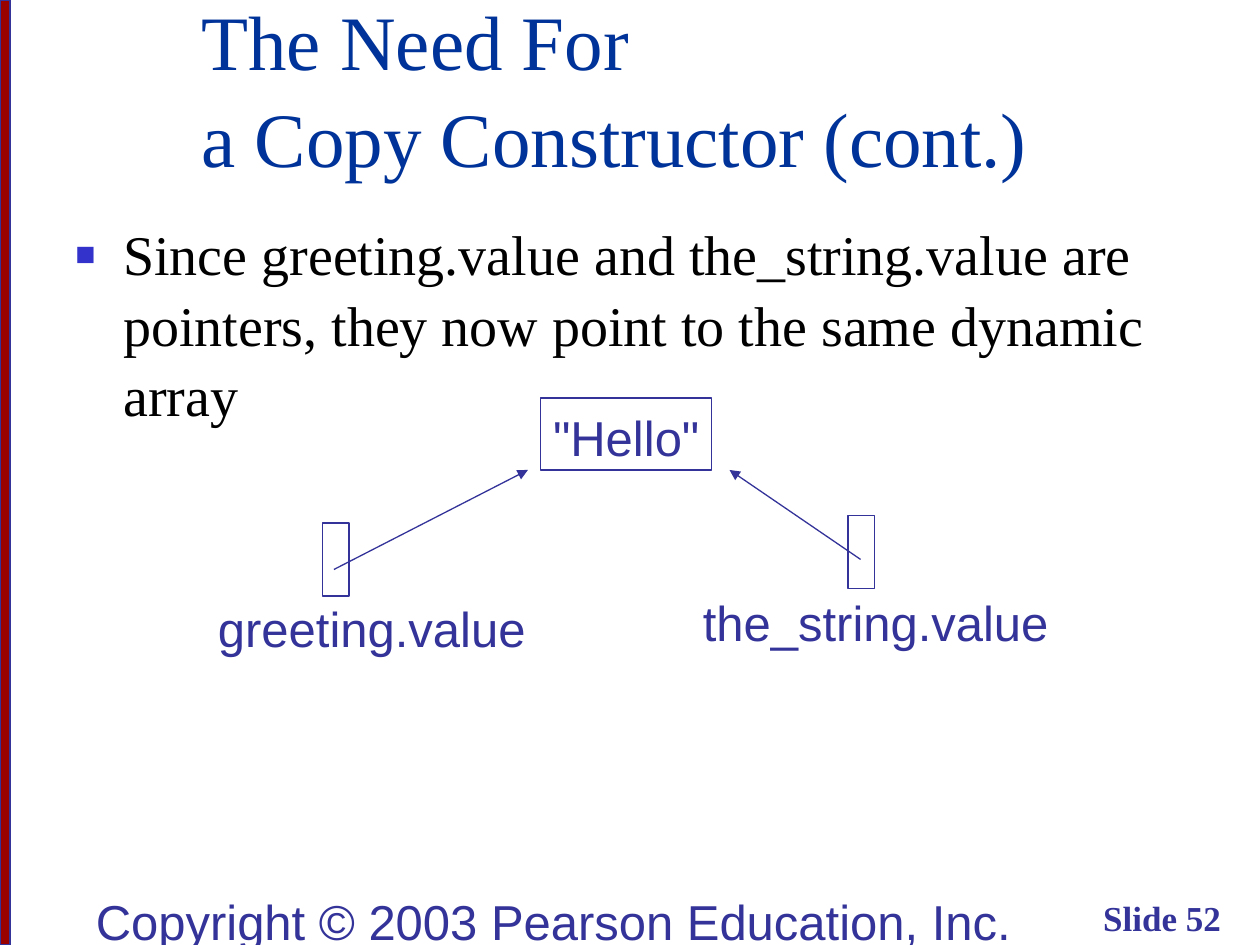
from pptx import Presentation
from pptx.dml.color import RGBColor as Rgb
from pptx.enum.shapes import MSO_CONNECTOR as Link, MSO_SHAPE as Kind
from pptx.enum.text import MSO_ANCHOR as Anchor, PP_ALIGN as Align
from pptx.oxml.ns import qn
from pptx.util import Inches, Pt
from lxml.etree import SubElement as Sub

WIDE, HIGH = 10, 7.5
INK, NAVY, RED, BLACK, BLUE = "333399", "003399", "990000", "000000", "3333CC"
SANS, SERIF = "Arial", "Times New Roman"


def tint(code):
    return Rgb.from_string(code)


class Page:
    """Draws on one slide; lengths are cells of a grid one inch square."""

    def __init__(self, deck):
        self.slide = deck.slides.add_slide(deck.slide_layouts[6])
        self.items = self.slide.shapes
        self.cell = deck.slide_width / WIDE

    def span(self, *cells):
        return [round(n * self.cell) for n in cells]

    def label(self, item, text, size=28, font=SANS, color=INK, bold=False,
              align=Align.CENTER, anchor=Anchor.TOP, wrap=True):
        frame = item.text_frame
        frame.text = text
        frame.word_wrap = wrap
        frame.vertical_anchor = anchor
        par = frame.paragraphs[0]
        par.alignment = align
        par.line_spacing = 1.05
        for run in par.runs:
            run.font.size = Pt(size)
            run.font.name = font
            run.font.bold = bold
            run.font.color.rgb = tint(color)
        return par

    def text(self, box, text, **look):
        return self.label(self.items.add_textbox(*self.span(*box)), text, **look)

    def bullet(self, par, mark, color, share, indent):
        props = par._p.get_or_add_pPr()
        props.set("marL", str(Inches(indent)))
        props.set("indent", str(-Inches(indent)))
        Sub(Sub(props, qn("a:buClr")), qn("a:srgbClr")).set("val", color)
        Sub(props, qn("a:buSzPct")).set("val", str(share * 1000))
        Sub(props, qn("a:buFont")).set("typeface", SANS)
        Sub(props, qn("a:buChar")).set("char", mark)

    def rect(self, box, fill=None):
        item = self.items.add_shape(Kind.RECTANGLE, *self.span(*box))
        item.shadow.inherit = False
        if fill:
            item.fill.solid()
            item.fill.fore_color.rgb = tint(fill)
        else:
            item.fill.background()
        self.stroke(item.line)
        return item

    def stroke(self, line):
        line.color.rgb = tint(INK)
        line.width = Pt(0.75)

    def arrow(self, start, end):
        item = self.items.add_connector(Link.STRAIGHT, *self.span(*start, *end))
        self.stroke(item.line)
        props = item._element.spPr
        Sub(props.find(qn("a:ln")), qn("a:tailEnd")).set("type", "triangle")
        Sub(props, qn("a:effectLst"))


def main():
    deck = Presentation()
    deck.slide_width, deck.slide_height = Inches(WIDE), Inches(HIGH)
    page = Page(deck)

    # Side band and footer
    page.rect((0, 0, 0.08, HIGH), RED)
    page.text((0.25, 7, 8.28, 0.5), "Copyright © 2003 Pearson Education, Inc.")
    page.text((7.71, 7, 2.08, 0.5), "Slide 52", size=20, font=SERIF, bold=True,
              align=Align.RIGHT, anchor=Anchor.BOTTOM)

    # Title and main point
    page.text((1.5, 0.08, 8.42, 1.42), "The Need For \va Copy Constructor (cont.)",
              size=44, font=SERIF, color=NAVY, align=Align.LEFT,
              anchor=Anchor.BOTTOM)
    point = page.text((0.5, 1.67, 9.24, 5),
                      "Since greeting.value and the_string.value are\v"
                      "pointers, they now point to the same dynamic \varray",
                      size=32, font=SERIF, color=BLACK, align=Align.LEFT)
    page.bullet(point, "■", BLUE, 60, 0.38)

    # Shared array
    array = page.rect((4.29, 3.16, 1.36, 0.57))
    page.label(array, '"Hello"', wrap=False)

    # Pointers: name, name box, cell corner, arrow start and end
    for name, box, cell, start, end in (
            ("greeting.value", (1.63, 4.68, 2.64, 0.57), (2.56, 4.15),
             (2.65, 4.52), (4.19, 3.73)),
            ("the_string.value", (5.48, 4.63, 2.94, 0.57), (6.73, 4.09),
             (6.83, 4.44), (5.79, 3.73))):
        page.text(box, name, wrap=False)
        page.rect((*cell, 0.21, 0.58))
        page.arrow(start, end)

    deck.save("out.pptx")


if __name__ == "__main__":
    main()
